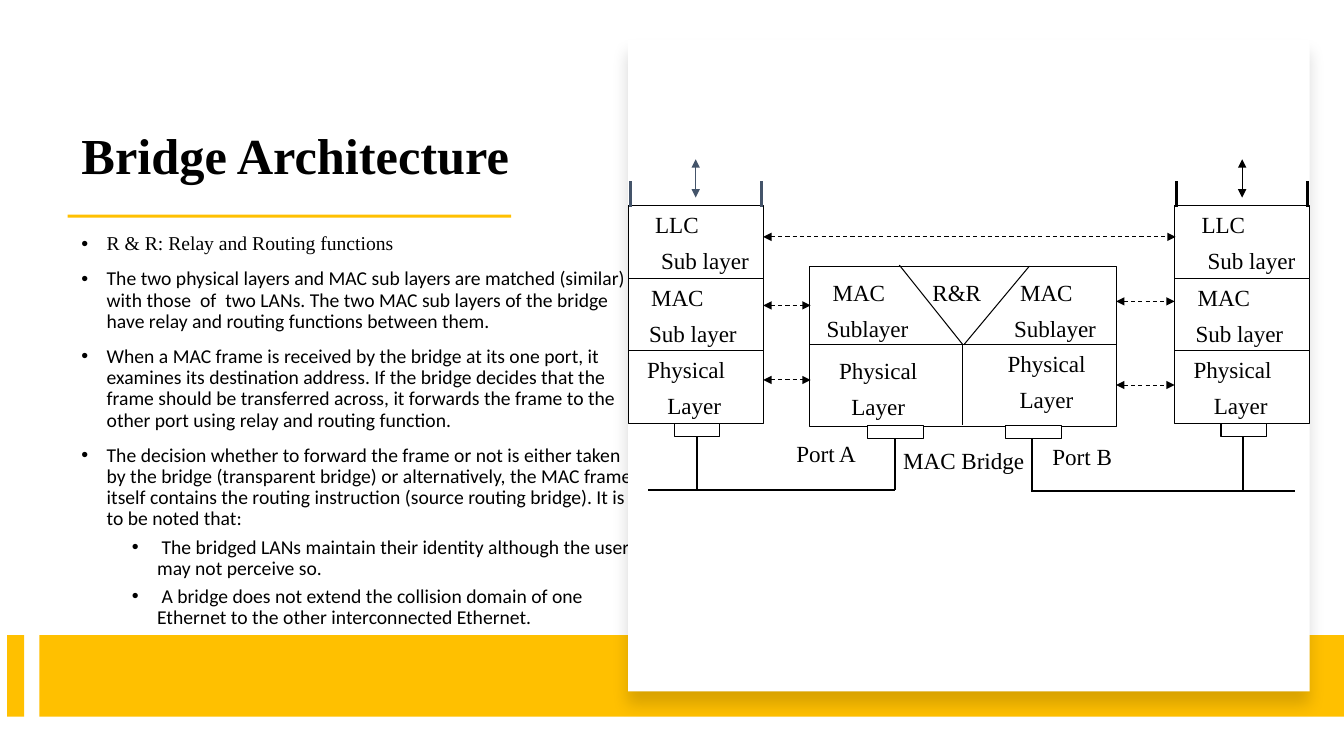
from lxml import etree
from pptx import Presentation
from pptx.dml.color import RGBColor
from pptx.enum import dml, shapes, text
from pptx.oxml import ns
from pptx.util import Inches, Pt

BLACK = RGBColor(0, 0, 0)
WHITE = RGBColor(255, 255, 255)
GOLD = RGBColor(0xFF, 0xC0, 0x00)
SLATE = RGBColor(0x44, 0x54, 0x6A)
SERIF, SANS = "Times New Roman", "Calibri"

NOTES = [
    (0, SERIF, "R & R: Relay and Routing functions"),
    (0, SANS, "The two physical layers and MAC sub layers are matched (similar) with those  of  two LANs. "
              "The two MAC sub layers of the bridge have relay and routing functions between them."),
    (0, SANS, "When a MAC frame is received by the bridge at its one port, it examines its destination "
              "address. If the bridge decides that the frame should be transferred across, it forwards "
              "the frame to the other port using relay and routing function."),
    (0, SANS, "The decision whether to forward the frame or not is either taken by the bridge (transparent "
              "bridge) or alternatively, the MAC frame itself contains the routing instruction (source "
              "routing bridge). It is to be noted that:"),
    (1, SANS, " The bridged LANs maintain their identity although the user may not perceive so."),
    (1, SANS, " A bridge does not extend the collision domain of one Ethernet to the other "
              "interconnected Ethernet."),
]
LAYERS = [
    [("LLC", 0.17), ("Sub layer", 0.23)],
    [("MAC", 0.13), ("Sub layer", 0.11)],
    [("Physical", 0.09), ("Layer", 0.29)],
]
MAC_LINES = [("MAC", 0.06), ("Sublayer", 0)]
PHYSICAL_LINES = [("Physical", 0), ("Layer", 0)]


def add_child(parent, tag, **attributes):
    """Append a DrawingML element with the given attributes."""
    return etree.SubElement(parent, ns.qn(tag), attributes)


def style_para(para, font, size, bold=False):
    """Format every run of a paragraph."""
    for span in para.runs:
        span.font.name = font
        span.font.size = Pt(size)
        span.font.bold = bold
        span.font.color.rgb = BLACK


def write_lines(box, lines, align=text.PP_ALIGN.LEFT):
    """Write diagram label lines, each with its own left indent."""
    frame = box.text_frame
    frame.word_wrap = False
    frame.vertical_anchor = text.MSO_ANCHOR.TOP
    frame.text = "\n".join(words for words, _ in lines)
    for para, (_, indent) in zip(frame.paragraphs, lines):
        para.alignment = align
        para.space_after = Pt(6)
        para._p.get_or_add_pPr().set("marL", str(Inches(indent)))
        style_para(para, SERIF, 16.5)


def add_box(page, left, top, width, height, fill=WHITE, line=None):
    """Draw a flat rectangle."""
    box = page.shapes.add_shape(shapes.MSO_SHAPE.RECTANGLE, Inches(left), Inches(top),
                                Inches(width), Inches(height))
    box.shadow.inherit = False
    box.fill.solid()
    box.fill.fore_color.rgb = fill
    if line is None:
        box.line.fill.background()
    else:
        box.line.color.rgb = line
        box.line.width = Pt(0.75)
    return box


def add_text(page, left, top, width, height):
    """Add an empty wrapping text box."""
    box = page.shapes.add_textbox(Inches(left), Inches(top), Inches(width), Inches(height))
    box.text_frame.word_wrap = True
    return box


def add_line(page, x1, y1, x2, y2, width=0.75, color=BLACK, arrows=False, dashed=False):
    """Draw a straight line, optionally dashed or with two arrowheads."""
    line = page.shapes.add_connector(shapes.MSO_CONNECTOR.STRAIGHT, Inches(x1), Inches(y1),
                                     Inches(x2), Inches(y2))
    line.line.color.rgb = color
    line.line.width = Pt(width)
    if dashed:
        line.line.dash_style = dml.MSO_LINE.DASH
    if arrows:
        for tag in ("a:headEnd", "a:tailEnd"):
            add_child(line.line._get_or_add_ln(), tag, type="triangle")
    add_child(line._element.spPr, "a:effectLst")


def add_panel(page):
    """Draw the white panel with its soft shadow."""
    panel = add_box(page, 6.23, 0.39, 6.76, 6.47)
    effects = panel._element.spPr.find(ns.qn("a:effectLst"))
    shadow = add_child(effects, "a:outerShdw", blurRad=str(Pt(11)), dist=str(Pt(10)),
                       dir="5400000", algn="t", rotWithShape="0")
    color = add_child(shadow, "a:srgbClr", val="000000")
    add_child(color, "a:alpha", val="15000")


def add_title(page):
    """Write the title above its gold rule."""
    frame = add_text(page, 0.71, 0.58, 4.68, 1.31).text_frame
    frame.vertical_anchor = text.MSO_ANCHOR.BOTTOM
    frame.text = "Bridge Architecture"
    frame.paragraphs[0].line_spacing = 0.9
    style_para(frame.paragraphs[0], SERIF, 36, bold=True)
    add_box(page, 0.67, 2.13, 4.4, 0.03, GOLD)


def add_notes(page):
    """Write the bulleted explanation."""
    frame = add_text(page, 0.71, 2.22, 5.71, 4.27).text_frame
    frame.margin_top = Inches(0.1)
    frame.text = "\n".join(words for _, _, words in NOTES)
    for index, (para, (level, font, _)) in enumerate(zip(frame.paragraphs, NOTES)):
        para.level = level
        para.line_spacing = 0.9
        para.space_before = Pt((5 if level else 10) if index else 0)
        properties = para._p.get_or_add_pPr()
        properties.set("marL", str(Inches(0.25 + 0.5 * level)))
        properties.set("indent", str(Inches(-0.25)))
        add_child(properties, "a:buFont", typeface="Arial")
        add_child(properties, "a:buChar", char="•")
        style_para(para, font, 14)


def add_station(page, left, color):
    """Draw one LAN station: three layers, top rails, arrow and plug."""
    for index, lines in enumerate(LAYERS):
        write_lines(add_box(page, left, 2.04 + 0.72 * index, 1.34, 0.72, line=BLACK), lines)
    add_box(page, left + 0.46, 4.2, 0.45, 0.13, line=BLACK)
    add_line(page, left + 0.68, 4.34, left + 0.68, 4.86, 1.5)
    add_line(page, left + 0.67, 1.96, left + 0.67, 1.58, color=color, arrows=True)
    for offset in (0.02, 1.32):
        add_line(page, left + offset, 2.05, left + offset, 1.8, 2.25, color)


def add_bridge(page):
    """Draw the MAC bridge with its two ports."""
    add_box(page, 8.03, 2.64, 3.04, 1.59, line=BLACK)
    for left, top, width in ((8.1, 3.49, 1.22), (9.7, 3.42, 1.36)):
        write_lines(add_box(page, left, top, width, 0.64), PHYSICAL_LINES, text.PP_ALIGN.CENTER)
    for left in (8.1, 9.96):
        write_lines(add_box(page, left, 2.71, 1.07, 0.69), MAC_LINES)
    write_lines(add_box(page, 9.15, 2.71, 0.73, 0.42), [("R&R", 0)])
    for left, drop in ((8.6, 8.88), (9.97, 10.24)):
        add_box(page, left, 4.22, 0.56, 0.13, line=BLACK)
        add_line(page, drop, 4.35, drop, 4.86, 1.5)
    add_line(page, 8.92, 2.63, 9.55, 3.42)
    add_line(page, 10.21, 2.64, 9.56, 3.42)
    add_line(page, 8.03, 3.42, 11.07, 3.42)
    add_line(page, 9.55, 3.42, 9.55, 4.22)


def main():
    """Build the slide and save it."""
    deck = Presentation()
    deck.slide_width, deck.slide_height = Inches(13.33), Inches(7.5)
    page = deck.slides.add_slide(deck.slide_layouts[6])
    add_title(page)
    add_notes(page)
    for left, width in ((0.07, 0.17), (0.39, 12.94)):
        add_box(page, left, 6.3, width, 0.81, GOLD)
    add_panel(page)
    for label, left, top, width in (("MAC Bridge", 8.86, 4.38, 1.52), ("Port B", 10.34, 4.34, 0.8),
                                    ("Port A", 7.8, 4.31, 0.92)):
        write_lines(add_text(page, left, top, width, 0.48), [(label, 0)])
    add_station(page, 6.23, SLATE)
    add_bridge(page)
    add_station(page, 11.65, BLACK)
    for start, end, height in ((6.43, 8.88, 4.86), (10.23, 12.84, 4.87)):
        add_line(page, start, height, end, height, 1.5)
    for start, end, height in ((7.57, 11.66, 2.35), (7.57, 8.04, 3.03), (7.57, 8.04, 3.77),
                               (11.07, 11.65, 2.99), (11.07, 11.65, 3.82)):
        add_line(page, start, height, end, height, arrows=True, dashed=True)
    deck.save("out.pptx")


if __name__ == "__main__":
    main()
